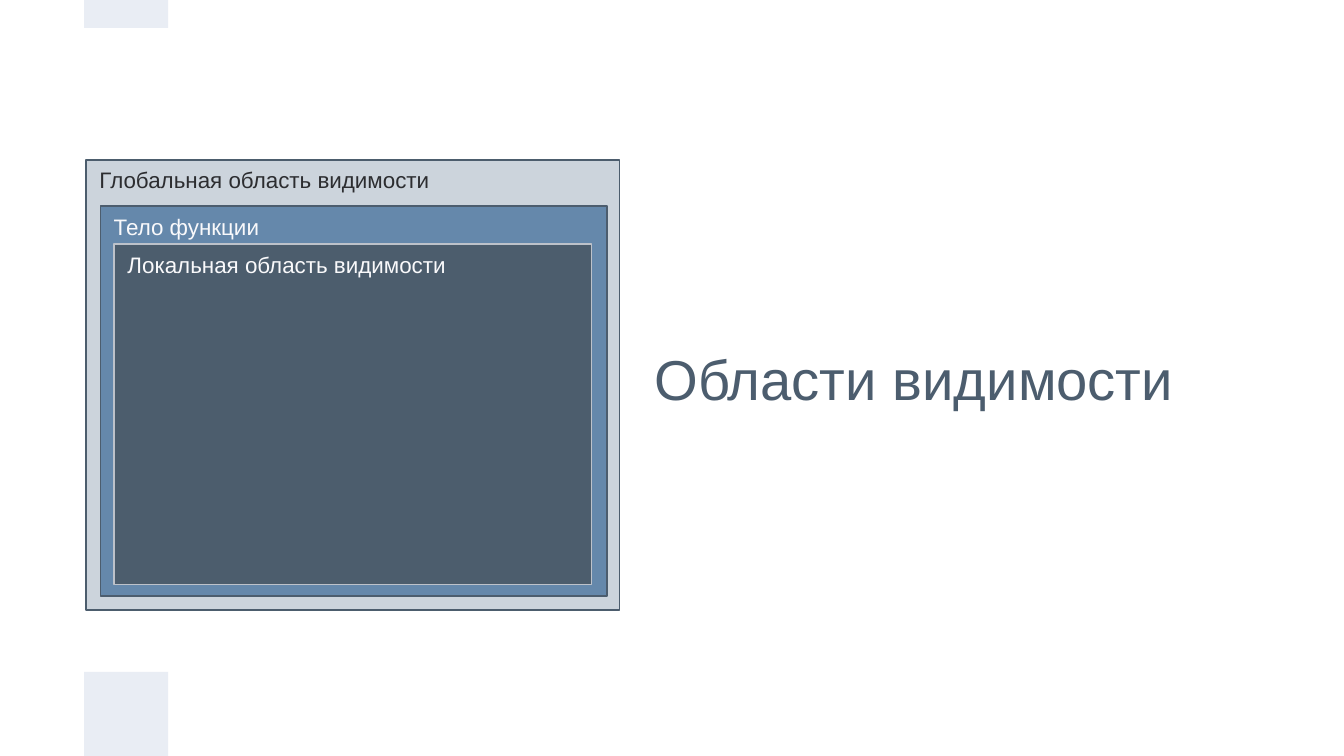
"""Build a slide that shows nested variable scopes as boxes inside one another."""
from dataclasses import dataclass

from pptx import Presentation, util as u
from pptx.dml.color import RGBColor
from pptx.enum import shapes, text


@dataclass(frozen=True)
class Theme:
    font: str = "Arial"
    title_size: float = 30.1
    label_size: float = 12
    line_width: float = 1
    slate: str = "4C5D6E"
    deep_slate: str = "4C5D6D"
    blue: str = "6588AB"
    pale: str = "CCD4DC"
    silver: str = "BDC2CA"
    band: str = "E9EDF4"
    dark_text: str = "2C2D30"
    light_text: str = "F9F9FB"


THEME = Theme()
SLIDE_SIZE = (25.4, 14.29)
TITLE = "Области видимости"
TITLE_PLACE = (12.04, 6.22, 10.64, 1.85)
TITLE_INSET = 0.33
BANDS = [(1.59, 12.7, 1.59, 1.59), (1.59, 0, 1.59, 0.53)]
SCOPES = [
    ("Глобальная область видимости", (1.63, 3.02, 10.08, 8.51),
     THEME.pale, THEME.deep_slate, THEME.dark_text),
    ("Тело функции", (1.9, 3.89, 9.58, 7.37),
     THEME.blue, THEME.slate, THEME.light_text),
    ("Локальная область видимости", (2.16, 4.62, 9.02, 6.43),
     THEME.deep_slate, THEME.silver, THEME.light_text),
]


def color(value):
    return RGBColor.from_string(value)


def write(shape, words, size, ink, anchor, insets):
    frame = shape.text_frame
    frame.word_wrap = True
    frame.auto_size = text.MSO_AUTO_SIZE.NONE
    frame.vertical_anchor = anchor
    frame.margin_left = frame.margin_right = u.Cm(insets[0])
    frame.margin_top = frame.margin_bottom = u.Cm(insets[1])
    para = frame.paragraphs[0]
    para.text = words
    para.alignment = text.PP_ALIGN.LEFT
    para.font.name = THEME.font
    para.font.size = u.Pt(size)
    para.font.color.rgb = color(ink)


def add_box(page, place, fill, line=None):
    box = page.shapes.add_shape(shapes.MSO_SHAPE.RECTANGLE, *map(u.Cm, place))
    box.shadow.inherit = False
    box.fill.solid()
    box.fill.fore_color.rgb = color(fill)
    if line:
        box.line.color.rgb = color(line)
        box.line.width = u.Pt(THEME.line_width)
    else:
        box.line.fill.background()
    return box


def main():
    deck = Presentation()
    deck.slide_width, deck.slide_height = map(u.Cm, SLIDE_SIZE)
    page = deck.slides.add_slide(deck.slide_layouts.get_by_name("Title Only"))

    for place in BANDS:
        add_box(page, place, THEME.band)

    title = page.shapes.title
    title.left, title.top, title.width, title.height = map(u.Cm, TITLE_PLACE)
    write(title, TITLE, THEME.title_size, THEME.slate,
          text.MSO_ANCHOR.MIDDLE, (TITLE_INSET, TITLE_INSET))

    for label, place, fill, line, ink in SCOPES:
        box = add_box(page, place, fill, line)
        write(box, label, THEME.label_size, ink,
              text.MSO_ANCHOR.TOP, (0.25, 0.13))

    deck.save("out.pptx")


if __name__ == "__main__":
    main()
